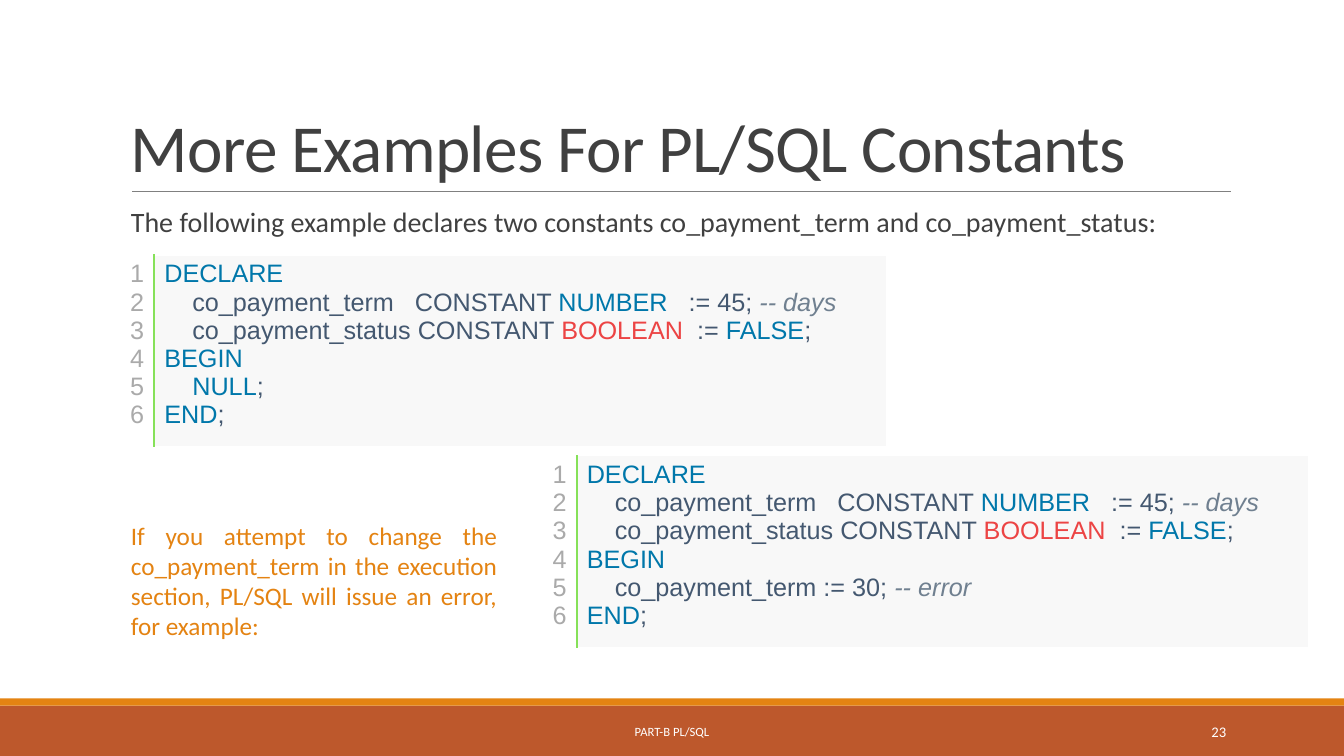
import pptx
import pptx.util
import pptx.dml.color
import pptx.enum.shapes
import pptx.enum.text
import pptx.oxml
import pptx.oxml.ns
import lxml.etree

Pt = pptx.util.Pt
ALIGN = pptx.enum.text.PP_ALIGN
ANCHOR = pptx.enum.text.MSO_ANCHOR

THEME = {
    "heading": "Calibri", "code": "Arial",
    "title_size": 48, "body_size": 20, "code_size": 18, "footer_size": 9, "number_size": 10.5,
    "ink": "404040", "rule": "808080", "band": "BD582C", "accent": "E48312", "white": "FFFFFF",
    "panel": "F8F8F8", "gutter": "AAAAAA", "edge": "86E159",
    "plain": "445870", "keyword": "0077AA", "type": "EC4444", "comment": "708090",
}

deck = pptx.Presentation()
deck.slide_width, deck.slide_height = pptx.util.Inches(13.33), pptx.util.Inches(7.5)
page = deck.slides.add_slide(deck.slide_layouts[6])

# Grid: 133.3 columns by 75 rows
COLUMN = deck.slide_width / 133.3
ROW = deck.slide_height / 75
LEFT, WIDTH = 12, 110


def style(span, size, color, font=THEME["heading"]):
    span.font.name, span.font.size = font, Pt(size)
    span.font.color.rgb = pptx.dml.color.RGBColor.from_string(THEME[color])


def add_text(words, left, top, width, height, size, color, align=ALIGN.LEFT, anchor=ANCHOR.TOP):
    box = page.shapes.add_textbox(int(left * COLUMN), int(top * ROW), int(width * COLUMN), int(height * ROW))
    box.text_frame.word_wrap = True
    box.text_frame.vertical_anchor = anchor
    box.text_frame.text = words
    para = box.text_frame.paragraphs[0]
    para.alignment = align
    style(para.runs[0], THEME[size], color)
    return box, para


# Footer bands
for top, height, color in [(70, 5, "band"), (69.3, 0.7, "accent")]:
    band = page.shapes.add_shape(pptx.enum.shapes.MSO_SHAPE.RECTANGLE, 0, int(top * ROW),
                                 deck.slide_width, int(height * ROW))
    band.shadow.inherit = False
    band.fill.solid()
    band.fill.fore_color.rgb = pptx.dml.color.RGBColor.from_string(THEME[color])
    band.line.fill.background()

# Rule under the title
rule = page.shapes.add_connector(pptx.enum.shapes.MSO_CONNECTOR.STRAIGHT, int(13.1 * COLUMN), int(19 * ROW),
                                 int(122.1 * COLUMN), int(19 * ROW))
rule.line.color.rgb = pptx.dml.color.RGBColor.from_string(THEME["rule"])
rule.line.width = Pt(0.5)
lxml.etree.SubElement(rule._element.spPr, pptx.oxml.ns.qn("a:effectLst"))

# Title, introduction and footer texts
title, para = add_text("More Examples For PL/SQL Constants", LEFT, 3.1, WIDTH, 15.9,
                       "title_size", "ink", anchor=ANCHOR.BOTTOM)
para.line_spacing = 0.85
para.runs[0]._r.get_or_add_rPr().set("spc", "-50")

intro, para = add_text("The following example declares two constants co_payment_term and co_payment_status:",
                       LEFT, 20.2, WIDTH, 44, "body_size", "ink")
para.line_spacing = 0.9
intro.text_frame.margin_right = 0

add_text("PART-B PL/SQL", 40.3, 70.6, 52.7, 4, "footer_size", "white", ALIGN.CENTER, ANCHOR.MIDDLE)
add_text("23", 108.3, 70.6, 14.3, 4, "number_size", "white", ALIGN.RIGHT, ANCHOR.MIDDLE)

# Code listings: each line is an indent level and its coloured parts
DECLARATIONS = [
    (0, [("DECLARE", "keyword")]),
    (1, [("co_payment_term   CONSTANT ", "plain"), ("NUMBER   ", "keyword"),
         (":= 45; ", "plain"), ("-- days", "comment")]),
    (1, [("co_payment_status CONSTANT ", "plain"), ("BOOLEAN  ", "type"),
         (":= ", "plain"), ("FALSE", "keyword"), (";", "plain")]),
    (0, [("BEGIN", "keyword")]),
]
CLOSING = [(0, [("END", "keyword"), (";", "plain")])]
EMPTY_BODY = [(1, [("NULL", "keyword"), (";", "plain")])]
FAILING_BODY = [(1, [("co_payment_term := 30; ", "plain"), ("-- error", "comment")])]
INDENT = Pt(20)
EDGE = ('<a:{side} xmlns:a="http://schemas.openxmlformats.org/drawingml/2006/main" w="19050">'
        '<a:solidFill><a:srgbClr val="{color}"/></a:solidFill></a:{side}>')

for left, top, body in [(LEFT, 25.3, EMPTY_BODY), (53.9, 45.2, FAILING_BODY)]:
    listing = DECLARATIONS + body + CLOSING
    table = page.shapes.add_table(1, 2, int(left * COLUMN), int(top * ROW),
                                  int(75.9 * COLUMN), int(17.9 * ROW)).table
    table.first_row = table.horz_banding = False
    table.columns[0].width, table.columns[1].width = int(3.3 * COLUMN), int(72.6 * COLUMN)
    numbers, code = table.cell(0, 0), table.cell(0, 1)
    numbers.margin_left = 0
    for cell, color, side in [(numbers, "white", "lnR"), (code, "panel", "lnL")]:
        cell.fill.solid()
        cell.fill.fore_color.rgb = pptx.dml.color.RGBColor.from_string(THEME[color])
        edge = pptx.oxml.parse_xml(EDGE.format(side=side, color=THEME["edge"]))
        cell._tc.get_or_add_tcPr().insert(0, edge)

    numbers.text_frame.text = "\n".join(str(n + 1) for n in range(len(listing)))
    for para in numbers.text_frame.paragraphs:
        para.alignment = ALIGN.RIGHT
        style(para.runs[0], THEME["code_size"], "gutter", THEME["code"])

    code.text_frame.text = "\n".join("" for line in listing)
    for para, (level, parts) in zip(code.text_frame.paragraphs, listing):
        para._p.get_or_add_pPr().set("marL", str(level * INDENT))
        for words, color in parts:
            span = para.add_run()
            span.text = words
            style(span, THEME["code_size"], color, THEME["code"])
            span.font.italic = color == "comment"

# Remark beside the second listing
remark, para = add_text("If you attempt to change the co_payment_term in the execution section, "
                        "PL/SQL will issue an error, for example:",
                        LEFT, 51.1, 38.3, 13.1, "code_size", "accent", ALIGN.JUSTIFY)
remark.text_frame.auto_size = pptx.enum.text.MSO_AUTO_SIZE.SHAPE_TO_FIT_TEXT

deck.save("out.pptx")
